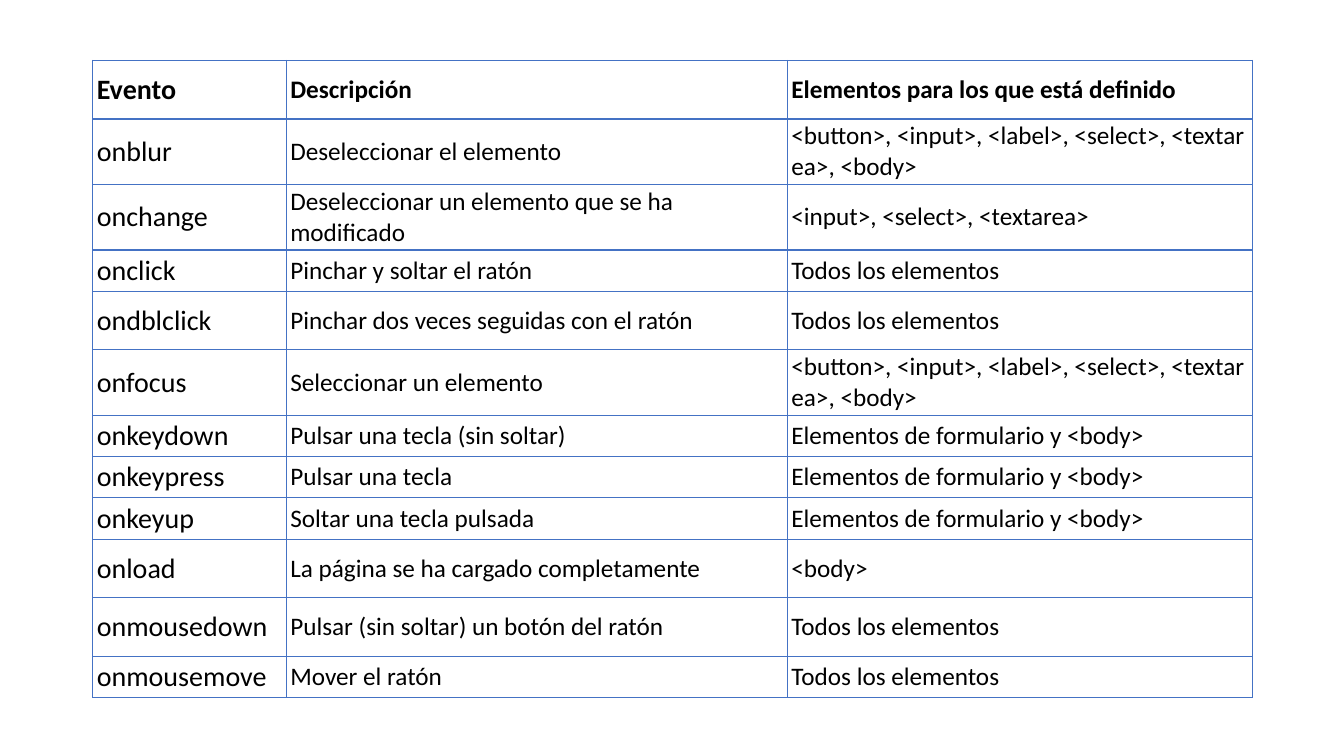
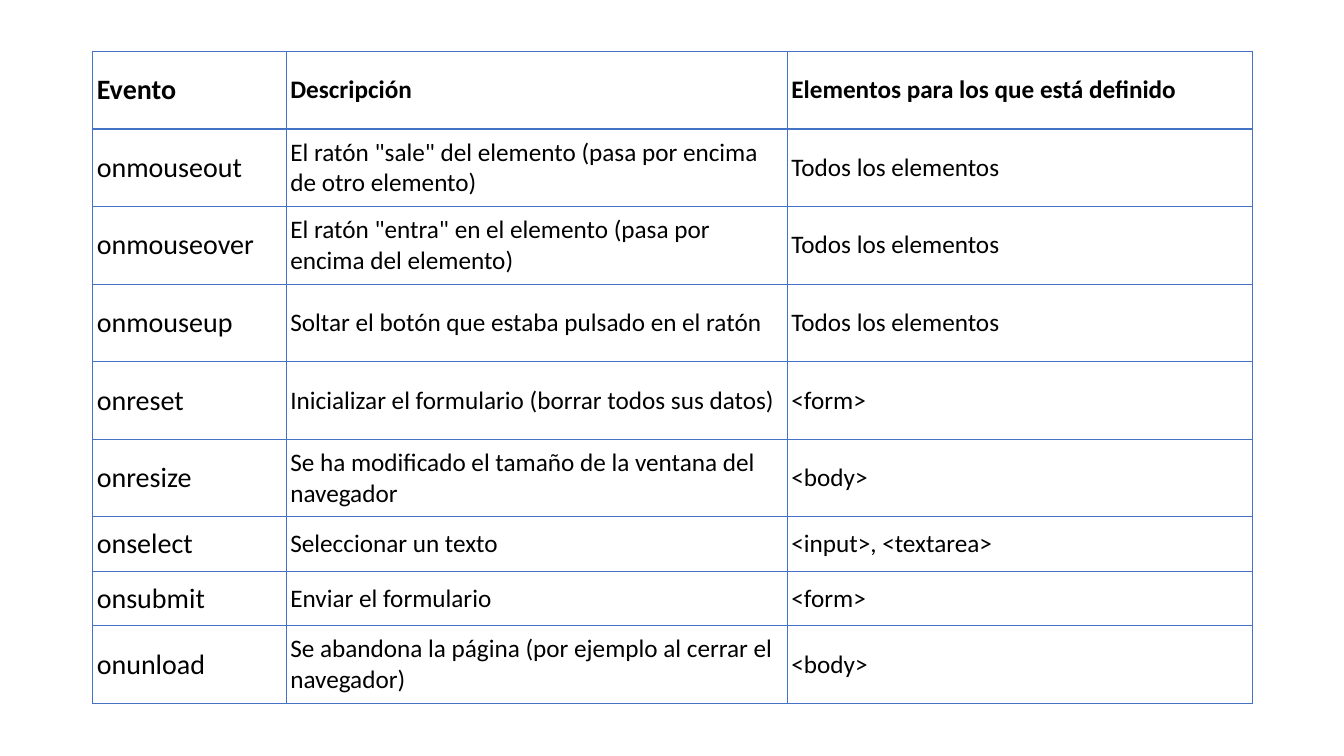
from dataclasses import dataclass

from lxml import etree
from pptx import Presentation
from pptx.dml.color import RGBColor
from pptx.enum import text
from pptx.oxml import ns
from pptx.util import Inches, Pt


@dataclass(frozen=True)
class Theme:
    font: str = "Calibri"
    ink: str = "000000"
    rule: str = "4472C4"
    rule_width: int = Pt(1)
    name_size: int = Pt(20)
    text_size: int = Pt(18)
    pad_x: int = Inches(0.04)
    pad_y: int = Inches(0.02)


THEME = Theme()
LEFT = 0.92
COLS = (1.92, 4.97, 4.61)
HEAD = ("Evento", "Descripción", "Elementos para los que está definido")
NB = chr(160)  # no-break space


def tags(*names):
    return f",{NB}".join(f"<{name}>" for name in names)


ALL = "Todos los elementos"
BODY = tags("body")
FORM = tags("form")
FIELDS = tags("button", "input", "label", "select", "textarea", "body")
KEYS = f"Elementos de formulario y{NB}{BODY}"

# Each row: height, event, description, elements
KEY_ROWS = (
    (0.58, *HEAD),
    (0.58, "onblur", "Deseleccionar el elemento", FIELDS),
    (0.58, "onchange", "Deseleccionar un elemento que se ha modificado",
     tags("input", "select", "textarea")),
    (0.41, "onclick", "Pinchar y soltar el ratón", ALL),
    (0.58, "ondblclick", "Pinchar dos veces seguidas con el ratón", ALL),
    (0.58, "onfocus", "Seleccionar un elemento", FIELDS),
    (0.41, "onkeydown", "Pulsar una tecla (sin soltar)", KEYS),
    (0.41, "onkeypress", "Pulsar una tecla", KEYS),
    (0.41, "onkeyup", "Soltar una tecla pulsada", KEYS),
    (0.58, "onload", "La página se ha cargado completamente", BODY),
    (0.58, "onmousedown", "Pulsar (sin soltar) un botón del ratón", ALL),
    (0.41, "onmousemove", "Mover el ratón", ALL),
)
MOUSE_ROWS = (
    (0.77, *HEAD),
    (0.77, "onmouseout",
     f'El ratón{NB}"sale"{NB}del elemento (pasa por encima de otro elemento)', ALL),
    (0.77, "onmouseover",
     f'El ratón{NB}"entra"{NB}en el elemento (pasa por encima del elemento)', ALL),
    (0.77, "onmouseup", "Soltar el botón que estaba pulsado en el ratón", ALL),
    (0.77, "onreset", "Inicializar el formulario (borrar todos sus datos)", FORM),
    (0.77, "onresize", "Se ha modificado el tamaño de la ventana del navegador", BODY),
    (0.54, "onselect", "Seleccionar un texto", tags("input", "textarea")),
    (0.54, "onsubmit", "Enviar el formulario", FORM),
    (0.77, "onunload",
     "Se abandona la página (por ejemplo al cerrar el navegador)", BODY),
)


def add_borders(cell):
    props = cell._tc.get_or_add_tcPr()
    for spot, side in enumerate(("lnL", "lnR", "lnT", "lnB")):
        line = etree.Element(ns.qn(f"a:{side}"), w=str(THEME.rule_width))
        fill = etree.SubElement(line, ns.qn("a:solidFill"))
        etree.SubElement(fill, ns.qn("a:srgbClr"), val=THEME.rule)
        props.insert(spot, line)


def fill_cell(cell, words, size, bold):
    cell.text = words
    cell.vertical_anchor = text.MSO_ANCHOR.MIDDLE
    cell.margin_left = cell.margin_right = THEME.pad_x
    cell.margin_top = cell.margin_bottom = THEME.pad_y
    cell.fill.background()
    font = cell.text_frame.paragraphs[0].font
    font.name, font.size, font.bold = THEME.font, size, bold
    font.color.rgb = RGBColor.from_string(THEME.ink)
    add_borders(cell)


def add_events(deck, top, rows):
    """Add a slide with one table of events."""
    slide = deck.slides.add_slide(deck.slide_layouts[6])
    height = sum(row[0] for row in rows)
    table = slide.shapes.add_table(
        len(rows), len(COLS), Inches(LEFT), Inches(top),
        Inches(sum(COLS)), Inches(height)).table
    table.first_row = table.horz_banding = False
    for col, width in zip(table.columns, COLS):
        col.width = Inches(width)
    for r, (tall, *words) in enumerate(rows):
        table.rows[r].height = Inches(tall)
        for c, word in enumerate(words):
            size = THEME.text_size if c else THEME.name_size
            fill_cell(table.cell(r, c), word, size, bold=r == 0)


def main():
    deck = Presentation()
    deck.slide_width, deck.slide_height = Inches(13.33), Inches(7.5)
    add_events(deck, 0.6, KEY_ROWS)
    add_events(deck, 0.51, MOUSE_ROWS)
    deck.save("out.pptx")


if __name__ == "__main__":
    main()
